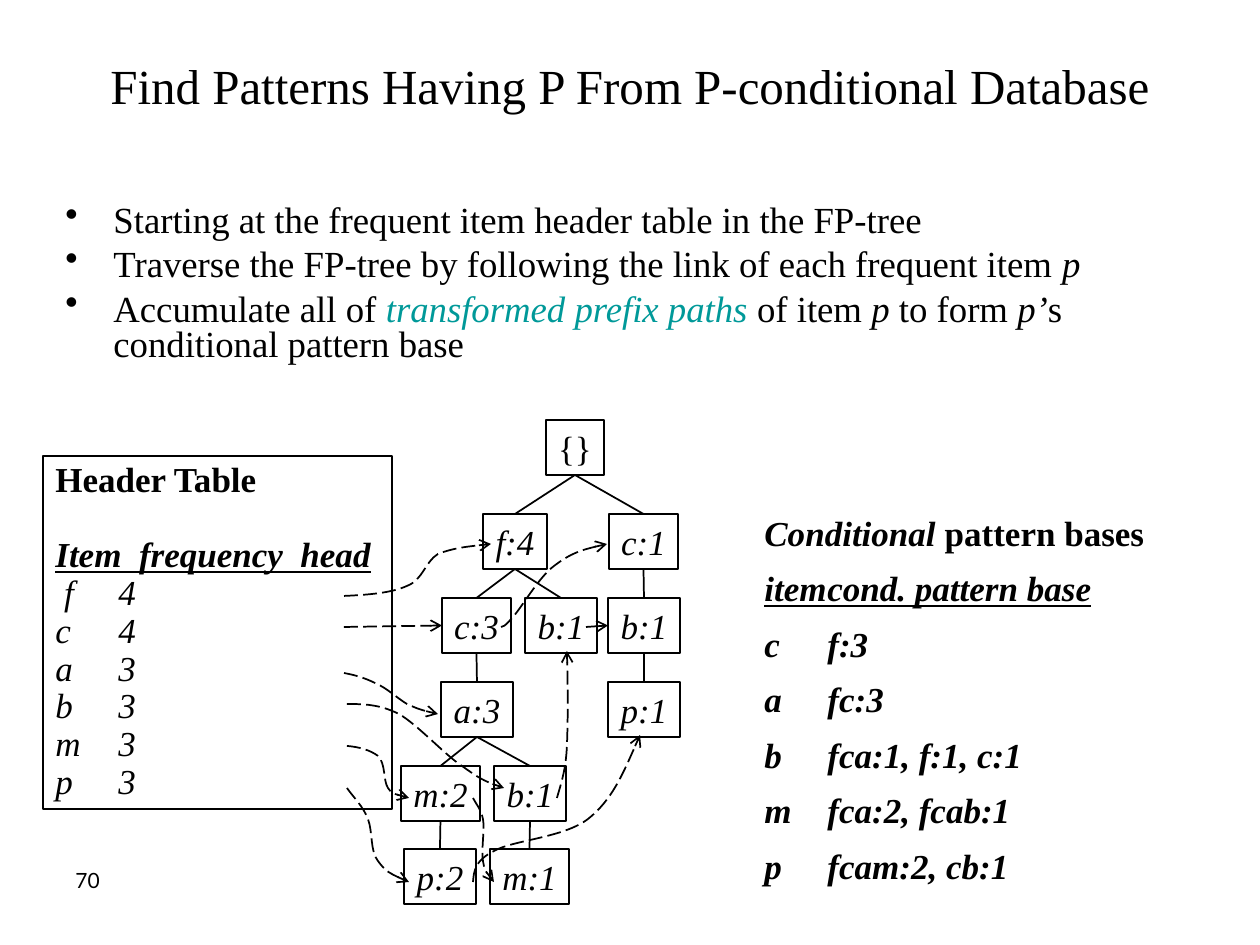
from lxml import etree
from pptx import Presentation
from pptx.dml.color import RGBColor
from pptx.enum.dml import MSO_LINE
from pptx.enum.shapes import MSO_CONNECTOR, MSO_SHAPE
from pptx.enum.text import MSO_ANCHOR, PP_ALIGN
from pptx.oxml.ns import qn
from pptx.util import Pt

BLACK = RGBColor(0, 0, 0)
TEAL = RGBColor(0x00, 0x99, 0x99)
LEFT, CENTER = PP_ALIGN.LEFT, PP_ALIGN.CENTER
TOP, MIDDLE = MSO_ANCHOR.TOP, MSO_ANCHOR.MIDDLE
RECTANGLE, STRAIGHT = MSO_SHAPE.RECTANGLE, MSO_CONNECTOR.STRAIGHT
LONG_DASH = MSO_LINE.LONG_DASH
TOP_SITE, LEFT_SITE, BOTTOM_SITE = 0, 1, 2
EMU_PER_PIXEL = 914400 / 126
NODE_HEIGHT = 55
ITALIC = {"italic": True}
BOLD = {"bold": True}
BOLD_ITALIC = {"bold": True, "italic": True}
UNDERLINED = {"bold": True, "italic": True, "underline": True}


def px(value):
    return round(value * EMU_PER_PIXEL)


class SlideBuilder:
    def __init__(self, slide, font_name="Times New Roman", size=20):
        self.slide = slide
        self.font_name = font_name
        self.size = size

    def fill_text(self, shape, paragraphs, size=None, font_name=None, align=LEFT,
                  anchor=TOP, spacing=1, later_spacing=None, before=0, bullet=None):
        text_frame = shape.text_frame
        text_frame.word_wrap = True
        text_frame.vertical_anchor = anchor
        for index, parts in enumerate(paragraphs):
            paragraph = text_frame.add_paragraph() if index else text_frame.paragraphs[0]
            if bullet:
                properties = paragraph._p.get_or_add_pPr()
                properties.set("marL", str(px(48)))
                properties.set("indent", str(px(-48)))
                etree.SubElement(properties, qn("a:buChar"), char=bullet)
            paragraph.alignment = align
            paragraph.line_spacing = later_spacing if index and later_spacing else spacing
            paragraph.space_before = Pt(before if index else 0)
            for text, style in parts:
                run = paragraph.add_run()
                run.text = text
                run.font.name = font_name or self.font_name
                run.font.size = Pt(size or self.size)
                run.font.color.rgb = style.get("color", BLACK)
                run.font.bold = style.get("bold", False)
                run.font.italic = style.get("italic", False)
                run.font.underline = style.get("underline", False)

    def text(self, left, top, width, height, paragraphs, **options):
        shape = self.slide.shapes.add_textbox(px(left), px(top), px(width), px(height))
        self.fill_text(shape, paragraphs, **options)
        return shape

    def box(self, left, top, width, height, paragraphs, **options):
        shape = self.slide.shapes.add_shape(RECTANGLE, px(left), px(top), px(width), px(height))
        shape.shadow.inherit = False
        shape.fill.background()
        self.outline(shape.line)
        self.fill_text(shape, paragraphs, **options)
        return shape

    def node(self, left, top, width, label, style):
        shape = self.box(left, top, width, NODE_HEIGHT, [[(label, style)]],
                         align=CENTER, anchor=MIDDLE)
        shape.text_frame.word_wrap = False
        return shape

    def outline(self, line, arrow=False):
        line.color.rgb = BLACK
        line.width = Pt(1)
        if arrow:
            line.dash_style = LONG_DASH
            etree.SubElement(line._get_or_add_ln(), qn("a:tailEnd"), type="arrow")

    def connector(self, start, end, arrow=False):
        connector = self.slide.shapes.add_connector(STRAIGHT, *map(px, start + end))
        self.outline(connector.line, arrow)
        etree.SubElement(connector._element.spPr, qn("a:effectLst"))
        return connector

    def branch(self, parent, child):
        connector = self.connector((0, 0), (0, 0))
        connector.begin_connect(parent, BOTTOM_SITE)
        connector.end_connect(child, TOP_SITE)

    def link(self, start, target):
        connector = self.connector(start, start, arrow=True)
        connector.end_connect(target, LEFT_SITE)

    def curve(self, *points):
        start, *others = [(px(x), px(y)) for x, y in points]
        builder = self.slide.shapes.build_freeform(*start, scale=1.0)
        builder.add_line_segments(others, close=False)
        shape = builder.convert_to_shape()
        shape.shadow.inherit = False
        shape.fill.background()
        segments = list(shape._element.iter(qn("a:lnTo")))
        for index in range(0, len(segments), 3):
            bezier = etree.Element(qn("a:cubicBezTo"))
            segments[index].addprevious(bezier)
            for segment in segments[index:index + 3]:
                bezier.append(segment[0])
                segment.getparent().remove(segment)
        self.outline(shape.line, arrow=True)


def main():
    presentation = Presentation()
    presentation.slide_width, presentation.slide_height = px(1260), px(945)
    builder = SlideBuilder(presentation.slides.add_slide(presentation.slide_layouts[6]))

    builder.text(63, 861, 294, 66, [[("70", {})]], size=12, font_name="Lato")
    builder.text(0, 42, 1260, 94, [[("Find Patterns Having P From P-conditional Database", {})]],
                 size=28, align=CENTER, anchor=MIDDLE, spacing=0.9)
    builder.text(53, 199, 1155, 210, [
        [("Starting at the frequent item header table in the FP-tree", {})],
        [("Traverse the FP-tree by following the link of each frequent item ", {}),
         ("p", ITALIC)],
        [("Accumulate all of ", {}),
         ("transformed prefix paths", {"italic": True, "color": TEAL}),
         (" of item ", {}), ("p ", ITALIC), ("to form ", {}), ("p’", ITALIC),
         ("s conditional pattern base", {})],
    ], size=21, spacing=0.8, before=5.2, bullet="•")

    pattern_bases = ["c\tf:3", "a\tfc:3", "b\tfca:1, f:1, c:1", "m\tfca:2, fcab:1",
                     "p\tfcam:2, cb:1"]
    builder.text(752, 505, 459, 388, [
        [("Conditional ", BOLD_ITALIC), ("pattern bases", BOLD)],
        [("item\tcond. pattern base", UNDERLINED)],
        *[[(row, BOLD_ITALIC)] for row in pattern_bases],
    ], later_spacing=0.8, before=12.5)

    frequencies = [" f\t4", "c\t4", "a\t3", "b\t3", "m\t3", "p\t3"]
    header_table = builder.box(43, 456, 349, 353, [
        [("Header Table", BOLD)],
        [("Item  frequency  head", UNDERLINED)],
        *[[(row, ITALIC)] for row in frequencies],
    ], spacing=0.9)
    header_table.text_frame.paragraphs[1].space_before = Pt(21.5)

    nodes = {
        name: builder.node(left, top, width, label, style)
        for name, left, top, width, label, style in [
            ("root", 546, 420, 58, "{}", {}),
            ("f4", 483, 514, 64, "f:4", ITALIC),
            ("c1", 609, 514, 69, "c:1", ITALIC),
            ("c3", 442, 598, 69, "c:3", ITALIC),
            ("b1 under f4", 525, 598, 72, "b:1", ITALIC),
            ("b1 under c1", 608, 598, 72, "b:1", ITALIC),
            ("a3", 441, 682, 72, "a:3", ITALIC),
            ("p1", 608, 682, 72, "p:1", ITALIC),
            ("m2", 401, 766, 79, "m:2", ITALIC),
            ("b1 under a3", 494, 766, 72, "b:1", ITALIC),
            ("p2", 404, 849, 72, "p:2", ITALIC),
            ("m1", 490, 849, 79, "m:1", ITALIC),
        ]
    }
    for parent, child in [
        ("root", "f4"), ("root", "c1"), ("f4", "c3"), ("f4", "b1 under f4"),
        ("c1", "b1 under c1"), ("b1 under c1", "p1"), ("c3", "a3"), ("a3", "m2"),
        ("a3", "b1 under a3"), ("m2", "p2"), ("b1 under a3", "m1"),
    ]:
        builder.branch(nodes[parent], nodes[child])

    builder.link((344, 627), nodes["c3"])
    builder.link((586, 627), nodes["b1 under c1"])
    for points in [
        [(344, 596), (368, 595), (392, 593), (407, 586), (423, 580),
         (425, 562), (438, 554), (454, 548), (473, 546), (491, 544)],
        [(501, 627), (503, 627), (504, 627), (513, 617), (522, 607),
         (539, 577), (554, 566), (571, 553), (588, 548), (607, 544)],
        [(344, 673), (355, 675), (365, 678), (375, 683), (387, 688),
         (397, 698), (407, 704), (418, 709), (428, 712), (438, 714)],
        [(347, 704), (363, 704), (379, 704), (399, 714), (418, 725),
         (445, 755), (462, 766), (480, 779), (491, 784), (504, 788)],
        [(557, 798), (561, 784), (566, 770), (567, 746), (568, 721),
         (568, 687), (567, 651)],
        [(347, 746), (359, 747), (370, 750), (378, 756), (386, 764),
         (383, 780), (388, 788), (393, 795), (402, 796), (409, 798)],
        [(473, 798), (476, 804), (481, 809), (483, 819), (485, 829),
         (481, 851), (483, 861), (485, 872), (489, 877), (494, 882)],
        [(347, 788), (354, 798), (363, 806), (368, 819), (373, 832),
         (370, 851), (378, 861), (386, 872), (397, 877), (409, 882)],
        [(473, 882), (474, 872), (474, 861), (494, 851), (513, 840),
         (563, 838), (588, 819), (612, 800), (626, 767), (640, 735)],
    ]:
        builder.curve(*points)

    presentation.save("out.pptx")


if __name__ == "__main__":
    main()
